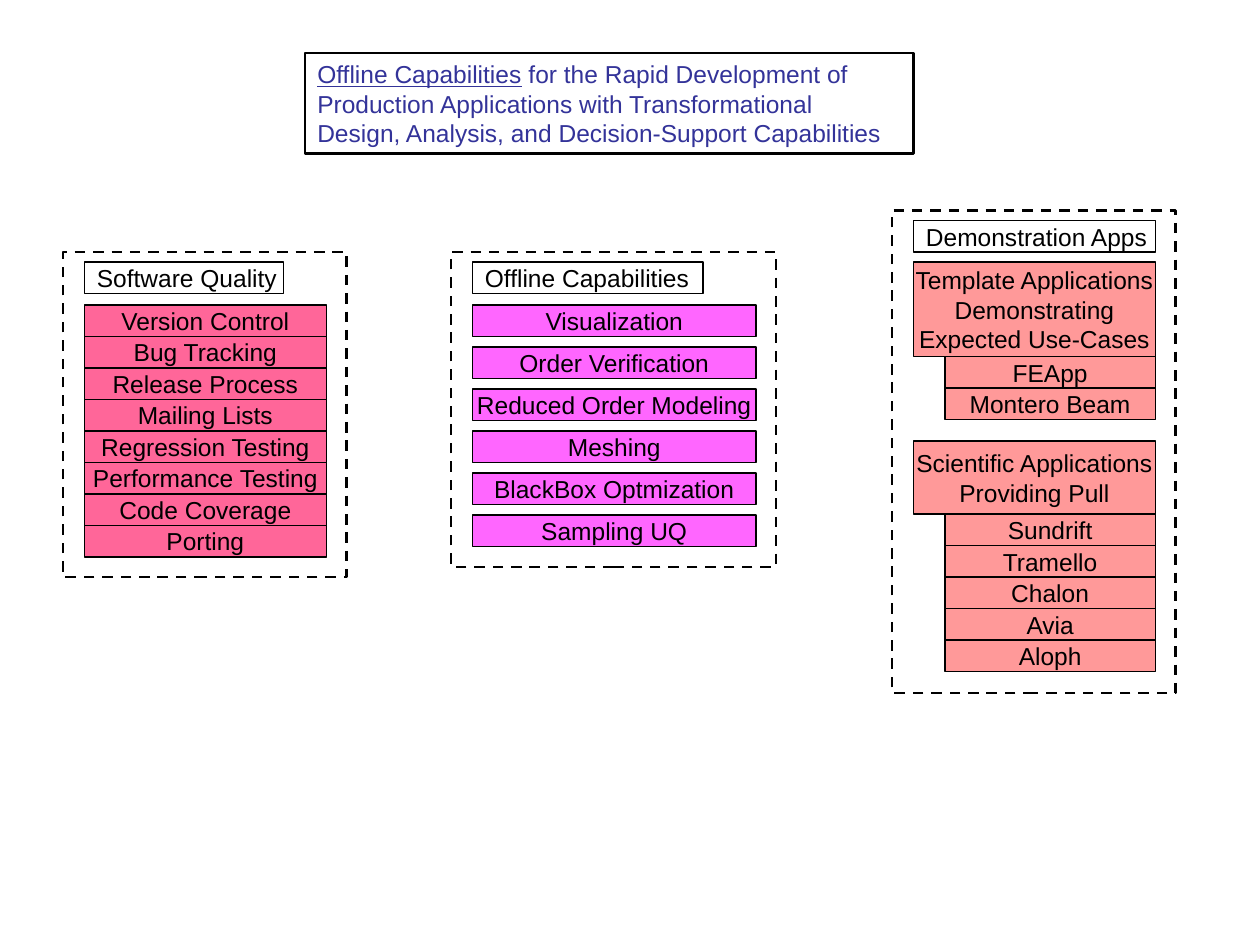
from pptx import Presentation
from pptx.dml.color import RGBColor as RGB
from pptx.enum.dml import MSO_LINE as Dash
from pptx.enum.shapes import MSO_SHAPE as Kind
from pptx.enum.text import MSO_ANCHOR as Anchor, PP_ALIGN as Align
from pptx.util import Inches, Pt


def hue(code):
    return RGB.from_string(code)


class Chart:
    """Draws the boxes of a capability chart on one slide in a shared style."""

    font, size, ink, paper = "Arial", 14, "000000", "FFFFFF"
    row = 0.25

    def __init__(self, slide):
        self.slide = slide

    def shape(self, kind, box, fill=None, width=0.75):
        item = self.slide.shapes.add_shape(kind, *map(Inches, box))
        item.shadow.inherit = False
        if fill:
            item.fill.solid()
            item.fill.fore_color.rgb = hue(fill)
        else:
            item.fill.background()
        item.line.color.rgb = hue(self.ink)
        item.line.width = Pt(width)
        return item

    def style(self, item, align, ink, anchor=Anchor.MIDDLE, wrap=False):
        frame = item.text_frame
        frame.word_wrap = wrap
        frame.vertical_anchor = anchor
        for para in frame.paragraphs:
            para.alignment = align
            for run in para.runs:
                run.font.name = self.font
                run.font.size = Pt(self.size)
                run.font.color.rgb = hue(ink)

    def title(self, box, lead, rest, ink):
        item = self.shape(Kind.RECTANGLE, box, width=1.5)
        para = item.text_frame.paragraphs[0]
        para.text = lead
        para.runs[0].font.underline = True
        para.add_run().text = rest
        self.style(item, Align.LEFT, ink, Anchor.TOP, True)

    def frame(self, *box):
        item = self.shape(Kind.RECTANGLE, box, width=1.5)
        item.line.dash_style = Dash.DASH

    def label(self, text, left, top, width):
        item = self.shape(Kind.RECTANGLE, (left, top, width, self.row), self.paper)
        item.text_frame.text = text
        self.style(item, Align.LEFT, self.ink)

    def block(self, text, left, top, width, height, fill):
        item = self.shape(Kind.FLOWCHART_PROCESS, (left, top, width, height), fill)
        item.text_frame.text = text
        self.style(item, Align.CENTER, self.ink)

    def stack(self, names, left, top, width, fill, step=row):
        for i, name in enumerate(names):
            self.block(name, left, top + i * step, width, self.row, fill)


def main():
    deck = Presentation()
    deck.slide_width, deck.slide_height = Inches(10), Inches(7.5)
    chart = Chart(deck.slides.add_slide(deck.slide_layouts[6]))
    rose, pink, coral = "FF6699", "FF66FF", "FF9999"

    chart.title(
        (2.42, 0.42, 4.83, 0.8),
        "Offline Capabilities",
        " for the Rapid Development of Production Applications with "
        "Transformational Design, Analysis, and Decision-Support Capabilities",
        "333399",
    )

    chart.frame(0.5, 2, 2.25, 2.58)
    chart.label("Software Quality", 0.67, 2.08, 1.58)
    checks = ["Version Control", "Bug Tracking", "Release Process", "Mailing Lists",
              "Regression Testing", "Performance Testing", "Code Coverage", "Porting"]
    chart.stack(checks, 0.67, 2.42, 1.92, rose)

    chart.frame(3.58, 2, 2.58, 2.5)
    chart.label("Offline Capabilities", 3.75, 2.08, 1.83)
    tools = ["Visualization", "Order Verification", "Reduced Order Modeling",
             "Meshing", "BlackBox Optmization", "Sampling UQ"]
    chart.stack(tools, 3.75, 2.42, 2.25, pink, step=1 / 3)

    chart.frame(7.08, 1.67, 2.25, 3.83)
    chart.label("Demonstration Apps", 7.25, 1.75, 1.92)
    groups = [
        ("Template Applications\nDemonstrating\nExpected Use-Cases", 2.08, 0.75,
         ["FEApp", "Montero Beam"]),
        ("Scientific Applications\nProviding Pull", 3.5, 0.58,
         ["Sundrift", "Tramello", "Chalon", "Avia", "Aloph"]),
    ]
    for head, top, height, apps in groups:
        chart.block(head, 7.25, top, 1.92, height, coral)
        chart.stack(apps, 7.5, top + height, 1.67, coral)

    deck.save("out.pptx")


if __name__ == "__main__":
    main()
